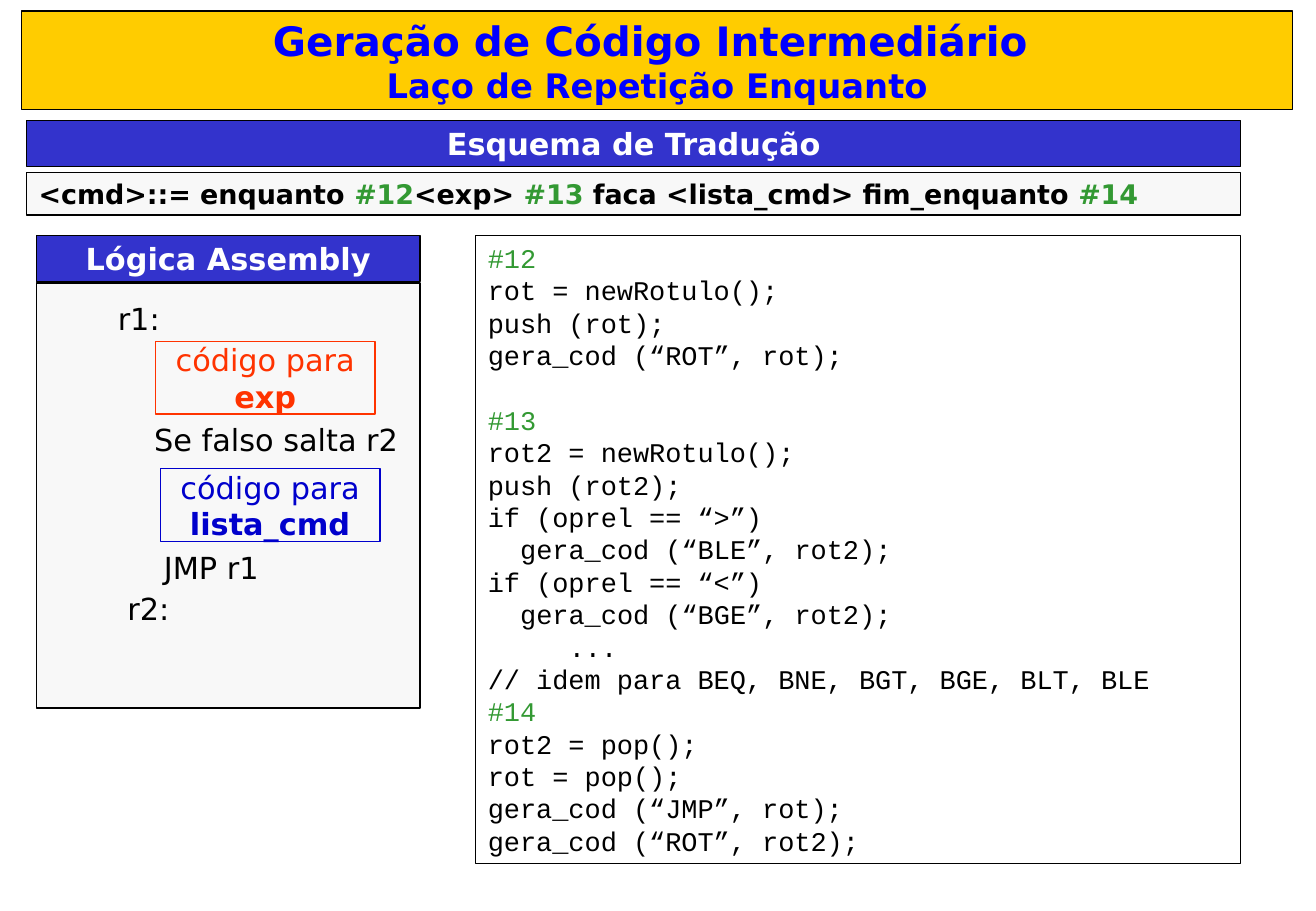
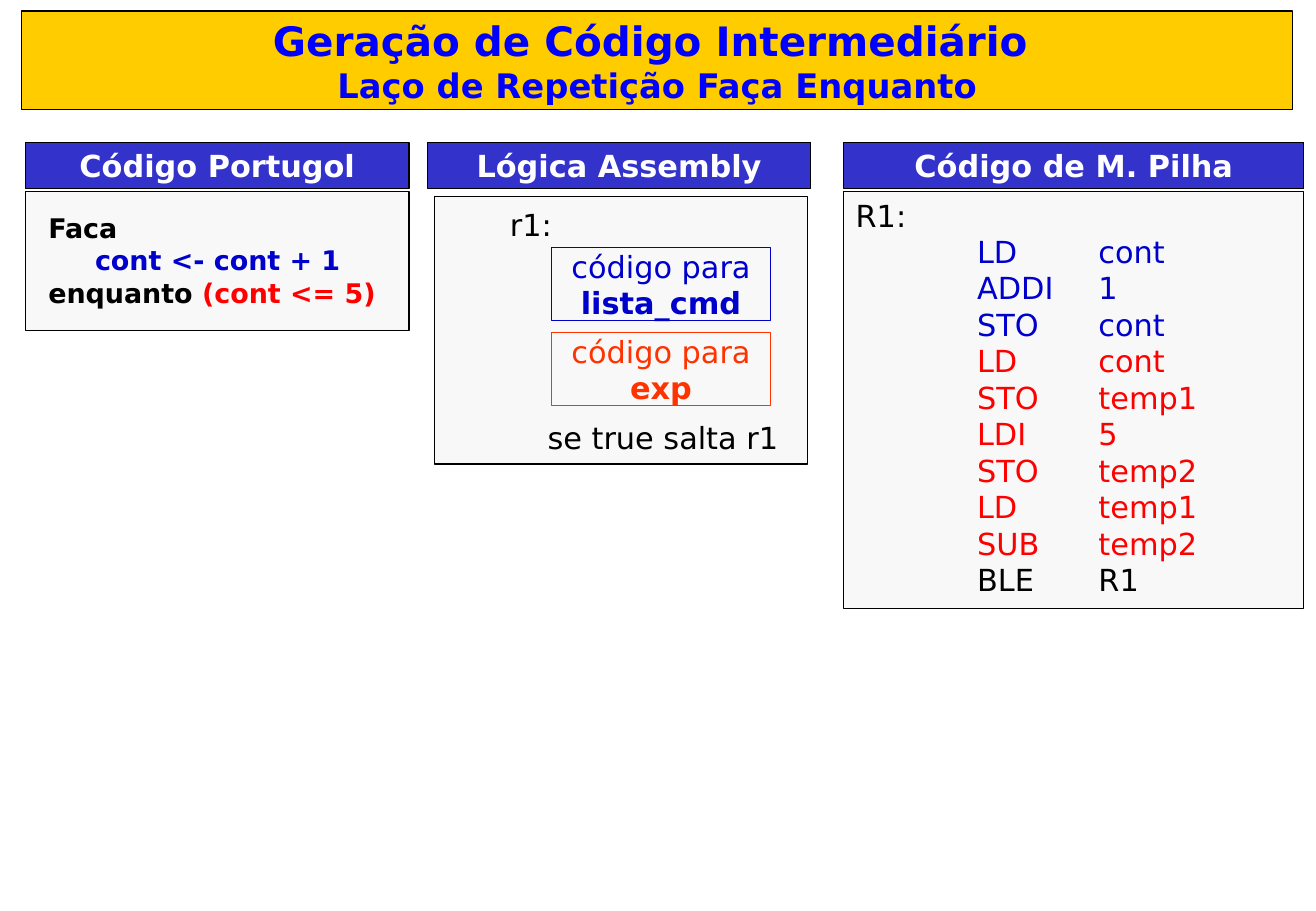
from dataclasses import dataclass
from lxml.etree import SubElement
from pptx import Presentation
from pptx.dml.color import RGBColor
from pptx.enum.shapes import MSO_SHAPE
from pptx.enum.text import MSO_ANCHOR, PP_ALIGN
from pptx.oxml.ns import qn
from pptx.util import Inches, Pt

COLUMNS, ROWS = 108.4, 75
CELL = Inches(0.1)
SANS, MONO = "DejaVu Sans", "Courier New"
BLACK, WHITE = "000000", "FFFFFF"
GOLD, TITLE_BLUE, NAVY, PALE = "FFCC00", "0000FF", "3333CC", "F8F8F8"
GREEN, BLUE, ORANGE, RED = "339933", "0000CC", "FF3300", "FF0000"
ROOMY, CODE, TIGHT = (1, 0.4), (1, 0.5), (0.2, 0)
LEADING = 1.2


def cells(count):
    return round(count * CELL)


def rgb(value):
    return RGBColor.from_string(value)


@dataclass
class Run:
    text: str
    color: str = BLACK
    bold: bool = False


@dataclass
class Line:
    runs: list
    size: float = 18
    font: str = SANS
    indent: float = 0
    gap_lines: float = 0


class Deck:
    def __init__(self):
        self.presentation = Presentation()
        self.presentation.slide_width = cells(COLUMNS)
        self.presentation.slide_height = cells(ROWS)
        self.slide = None

    def new_slide(self, subtitle):
        blank = self.presentation.slide_layouts[6]
        self.slide = self.presentation.slides.add_slide(blank)
        heading = [
            Line([Run(text, TITLE_BLUE, True)], size)
            for text, size in (("Geração de Código Intermediário ", 24), (subtitle, 20))
        ]
        self.panel((1.8, 0.9, 104.7, 8.1), heading, fill=GOLD, centred=True)

    def panel(self, at, lines=(), fill=None, outline=BLACK, inset=ROOMY, centred=False, tabs=()):
        box = self.slide.shapes.add_shape(MSO_SHAPE.RECTANGLE, *map(cells, at))
        box.shadow.inherit = False
        if fill:
            box.fill.solid()
            box.fill.fore_color.rgb = rgb(fill)
        else:
            box.fill.background()
        box.line.color.rgb = rgb(outline)
        box.line.width = Pt(0.75)
        self.set_lines(box.text_frame, lines, inset, centred, tabs)

    def text(self, at, lines, inset=TIGHT):
        box = self.slide.shapes.add_textbox(*map(cells, at))
        self.set_lines(box.text_frame, lines, inset)

    def header(self, left, top, width, caption):
        self.panel((left, top, width, 3.8), [Line([Run(caption, WHITE, True)])], NAVY, centred=True)

    def fragment(self, left, top, name, color):
        runs = [Run("código para ", color), Run(name, color, True)]
        self.panel((left, top, 18.1, 6), [Line(runs)], outline=color, inset=TIGHT, centred=True)

    def step(self, left, top, caption):
        self.text((left, top, 23.5, 3), [Line([Run(caption)])])

    def set_lines(self, frame, lines, inset, centred=False, tabs=()):
        frame.word_wrap = True
        frame.vertical_anchor = MSO_ANCHOR.TOP
        frame.margin_left = frame.margin_right = cells(inset[0])
        frame.margin_top = frame.margin_bottom = cells(inset[1])
        for index, line in enumerate(lines):
            paragraph = frame.add_paragraph() if index else frame.paragraphs[0]
            paragraph.alignment = PP_ALIGN.CENTER if centred else PP_ALIGN.LEFT
            paragraph.line_spacing = Pt(line.size * LEADING)
            paragraph.space_before = Pt(line.gap_lines * line.size * LEADING)
            properties = paragraph._p.get_or_add_pPr()
            if line.indent:
                properties.set("marL", str(cells(line.indent)))
                properties.set("indent", "0")
            if tabs:
                stops = SubElement(properties, qn("a:tabLst"))
                for stop in tabs:
                    SubElement(stops, qn("a:tab"), pos=str(cells(stop)), algn="l")
            for part in line.runs:
                run = paragraph.add_run()
                run.text = part.text
                run.font.name = line.font
                run.font.size = Pt(line.size)
                run.font.bold = part.bold
                run.font.color.rgb = rgb(part.color)


def code_line(text, indent=0, gap_lines=0):
    color = GREEN if text.startswith("#") else BLACK
    return Line([Run(text, color)], 16, MONO, indent, gap_lines)


def while_slide(deck):
    deck.new_slide("Laço de Repetição Enquanto")
    deck.header(2.2, 9.9, 100, "Esquema de Tradução")
    rule = [
        ("<cmd>::= enquanto ", BLACK), ("#12", GREEN), ("<exp> ", BLACK), ("#13", GREEN),
        (" faca <lista_cmd> fim_enquanto ", BLACK), ("#14", GREEN),
    ]
    deck.panel((2.2, 14.2, 100, 3.5), [Line([Run(*part, True) for part in rule], 16)], PALE)

    deck.panel((3, 23.3, 31.6, 35), fill=PALE)
    deck.header(3, 19.4, 31.6, "Lógica Assembly")
    deck.step(9.5, 24.7, "r1:")
    deck.fragment(12.8, 28.1, "exp", ORANGE)
    deck.step(12.5, 34.7, "Se falso salta r2")
    deck.fragment(13.2, 38.6, "lista_cmd", BLUE)
    deck.step(13.3, 45.2, "JMP r1")
    deck.step(10.3, 48.6, "r2:")

    actions = [
        code_line("#12"),
        code_line("rot = newRotulo();"),
        code_line("push (rot);"),
        code_line("gera_cod (“ROT”, rot);"),
        code_line("#13", gap_lines=1),
        code_line("rot2 = newRotulo();"),
        code_line("push (rot2);"),
        code_line("if (oprel == “>”)"),
        code_line("gera_cod (“BLE”, rot2);", indent=2.67),
        code_line("if (oprel == “<”)"),
        code_line("gera_cod (“BGE”, rot2);", indent=2.67),
        code_line("...", indent=6.67),
        code_line("// idem para BEQ, BNE, BGT, BGE, BLT, BLE"),
        code_line("#14"),
        code_line("rot2 = pop();"),
        code_line("rot = pop();"),
        code_line("gera_cod (“JMP”, rot);"),
        code_line("gera_cod (“ROT”, rot2);"),
    ]
    deck.panel((39.2, 19.4, 63, 51.7), actions, inset=CODE)


def do_while_slide(deck):
    deck.new_slide("Laço de Repetição Faça Enquanto")
    for left, width, caption in (
        (2.1, 31.6, "Código Portugol"),
        (35.2, 31.6, "Lógica Assembly"),
        (69.5, 37.9, "Código de M. Pilha"),
    ):
        deck.header(left, 11.7, width, caption)

    deck.panel((2.1, 15.8, 31.6, 11.4), fill=PALE)
    portugol = [
        Line([Run("Faca", BLACK, True)], 16),
        Line([Run("cont <- cont + 1", BLUE, True)], 16, indent=3.85),
        Line([Run("enquanto ", BLACK, True), Run("(cont <= 5)", RED, True)], 16),
    ]
    deck.text((3, 17, 30.7, 8.8), portugol, ROOMY)

    deck.panel((35.8, 16.2, 30.7, 22), fill=PALE)
    deck.step(41.8, 17, "r1:")
    deck.fragment(45.4, 20.4, "lista_cmd", BLUE)
    deck.fragment(45.4, 27.4, "exp", ORANGE)
    deck.step(44.9, 34.5, "se true salta r1")

    instructions = [
        ("LD", "cont", BLUE), ("ADDI", "1", BLUE), ("STO", "cont", BLUE),
        ("LD", "cont", RED), ("STO", "temp1", RED), ("LDI", "5", RED),
        ("STO", "temp2", RED), ("LD", "temp1", RED), ("SUB", "temp2", RED),
        ("BLE", "R1", BLACK),
    ]
    listing = [Line([Run("R1:")])]
    listing += [Line([Run(f"\t{name}\t{operand}", color)]) for name, operand, color in instructions]
    deck.panel((69.5, 15.8, 37.9, 34.3), listing, PALE, tabs=(10, 20))


def main():
    deck = Deck()
    while_slide(deck)
    do_while_slide(deck)
    deck.presentation.save("out.pptx")


if __name__ == "__main__":
    main()
